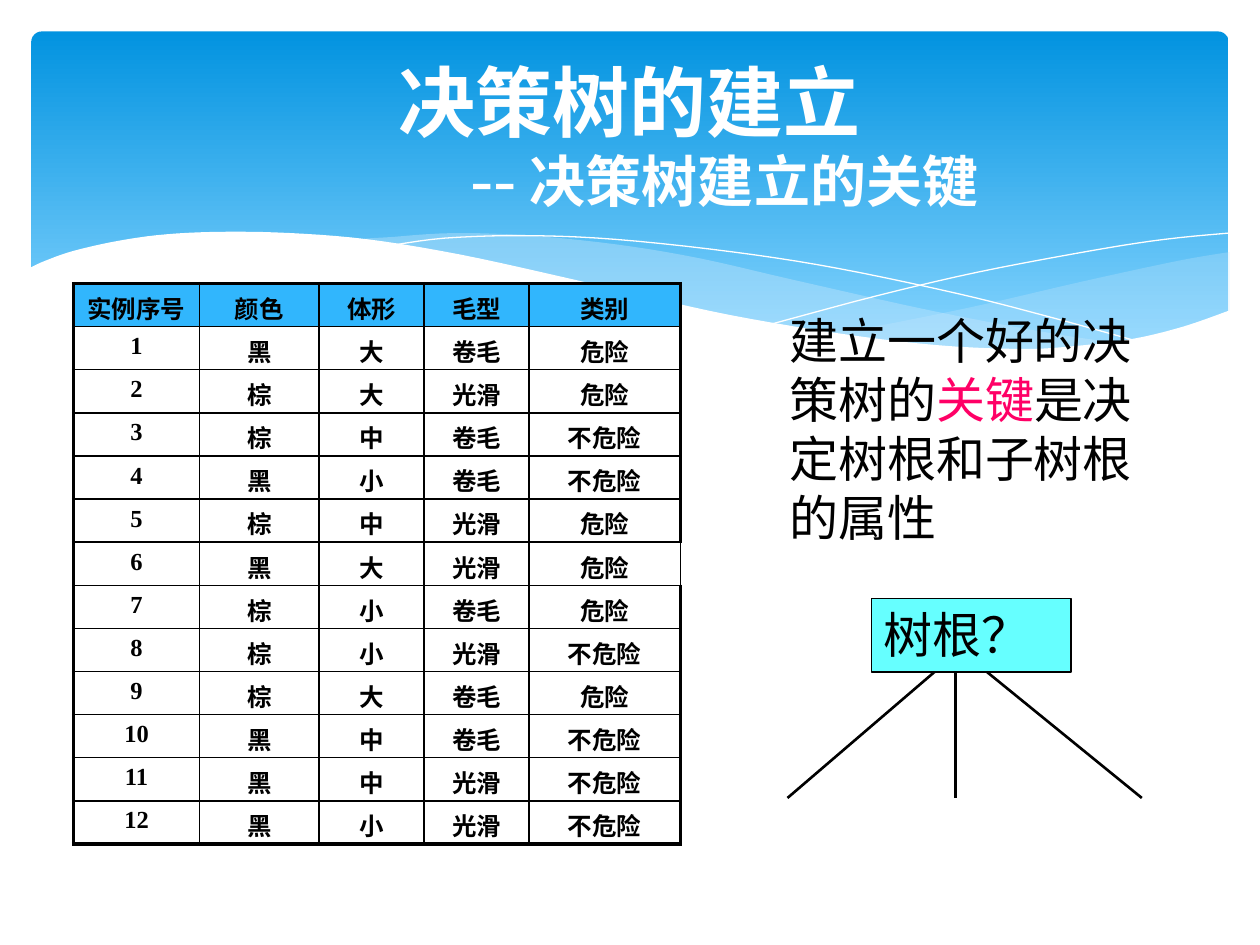
from dataclasses import dataclass

from lxml.etree import SubElement
from pptx import Presentation
from pptx.dml.color import RGBColor
from pptx.enum.shapes import MSO_CONNECTOR as Connector, MSO_SHAPE as Shape
from pptx.enum.text import MSO_ANCHOR as Anchor, MSO_AUTO_SIZE as AutoSize, PP_ALIGN as Align
from pptx.oxml.ns import qn
from pptx.util import Inches, Pt


@dataclass(frozen=True)
class Theme:
    white: str = "FFFFFF"
    ink: str = "000000"
    accent: str = "FF0066"
    sky_top: str = "0293E0"
    sky_bottom: str = "83D3FE"
    haze: str = "C6E7FC"
    header: str = "31B6FD"
    root: str = "66FFFF"
    title_font: str = "Cabin"
    body_font: str = "Times New Roman"
    title_size: int = 44
    subtitle_size: int = 32
    body_size: int = 28
    table_size: int = 14
    thin: float = 1
    thick: float = 2.25


THEME = Theme()
COLUMNS, ROWS = 120, 90
UNIT = Inches(10) / COLUMNS

RIGHT_HAZE = [(9.76, 2), (9.35, 2.07), (8.61, 2.23), (7.79, 2.42), (7.06, 2.57), (6.61, 2.65),
              (7.05, 2.71), (7.57, 2.76), (8.14, 2.78), (8.63, 2.75), (9.13, 2.67), (9.49, 2.57), (9.76, 2.47)]
MIDDLE_HAZE = [(8.93, 2.73), (8.37, 2.65), (7.41, 2.47), (6.29, 2.22), (5.55, 2.05), (4.89, 1.94),
               (4.2, 1.87), (3.61, 1.85), (3.13, 1.88), (2.86, 1.91), (3.42, 1.99), (4.04, 2.11),
               (4.91, 2.32), (5.84, 2.52), (6.5, 2.64), (7.22, 2.74), (7.96, 2.78), (8.48, 2.77), (8.93, 2.73)]
FALLING_LINE = [(3.09, 1.95), (3.53, 1.89), (4.16, 1.87), (4.89, 1.9), (5.82, 2),
                (6.65, 2.13), (7.6, 2.33), (8.31, 2.51), (9.07, 2.72)]
RISING_LINE = [(6.13, 2.57), (6.95, 2.35), (7.76, 2.16), (8.66, 1.99), (9.24, 1.9), (9.75, 1.85)]
FOREGROUND = [(9.77, 2.46), (9.4, 2.59), (8.99, 2.69), (8.5, 2.75), (8.09, 2.77), (7.44, 2.74),
              (6.68, 2.65), (5.79, 2.5), (5.03, 2.33), (4.47, 2.2), (3.65, 2.02), (2.92, 1.9),
              (2.3, 1.85), (1.77, 1.84), (1.32, 1.86), (0.95, 1.91), (0.59, 1.99), (0.36, 2.07), (0.23, 2.13)]

HEADINGS = ["实例序号", "颜色", "体形", "毛型", "类别"]
DOGS = ["黑 大 卷毛 危险", "棕 大 光滑 危险", "棕 中 卷毛 不危险", "黑 小 卷毛 不危险",
        "棕 中 光滑 危险", "黑 大 光滑 危险", "棕 小 卷毛 危险", "棕 小 光滑 不危险",
        "棕 大 卷毛 危险", "黑 中 卷毛 不危险", "黑 中 光滑 不危险", "黑 小 光滑 不危险"]
THIN_EDGE_ROW = 6


def grid(*steps):
    return [round(step * UNIT) for step in steps]


def rgb(value):
    return RGBColor.from_string(value)


def add_run(paragraph, text, size, font=THEME.body_font, color=THEME.ink, bold=False):
    run = paragraph.add_run()
    run.text = text
    run.font.size, run.font.name, run.font.bold = Pt(size), font, bold
    run.font.color.rgb = rgb(color)


def smooth_curve(knots, steps=5):
    padded = [knots[0], *knots, knots[-1]]
    curve = []
    for a, b, c, d in zip(padded, padded[1:], padded[2:], padded[3:]):
        for step in range(steps):
            t = step / steps
            curve.append(tuple(
                (2 * q + (r - p) * t + (2 * p - 5 * q + 4 * r - s) * t**2 + (3 * q - p - 3 * r + s) * t**3) / 2
                for p, q, r, s in zip(a, b, c, d)))
    return curve + [knots[-1]]


def add_wave(slide, knots, fill=None, opacity=100, corners=()):
    start, *rest = [(Inches(x), Inches(y)) for x, y in [*smooth_curve(knots), *corners]]
    builder = slide.shapes.build_freeform(*start)
    builder.add_line_segments(rest, close=fill is not None)
    wave = builder.convert_to_shape()
    wave.shadow.inherit = False
    if fill is None:
        wave.fill.background()
        wave.line.color.rgb = rgb(THEME.white)
        wave.line.width = Pt(0)
        return
    wave.fill.solid()
    wave.fill.fore_color.rgb = rgb(fill)
    wave.line.fill.background()
    if opacity < 100:
        color = wave.element.spPr.find(qn("a:solidFill"))[0]
        SubElement(color, qn("a:alpha"), val=str(opacity * 1000))


def add_banner(slide):
    sky = slide.shapes.add_shape(Shape.ROUNDED_RECTANGLE, *grid(3, 3, 114, 32.4))
    sky.adjustments[0] = 0.03
    sky.shadow.inherit = False
    sky.line.fill.background()
    sky.fill.gradient()
    sky.fill.gradient_angle = 270
    stops = [(0, THEME.sky_top), (0.9, THEME.sky_bottom)]
    for stop, (position, color) in zip(sky.fill.gradient_stops, stops):
        stop.position, stop.color.rgb = position, rgb(color)
    add_wave(slide, RIGHT_HAZE, THEME.haze, 29)
    add_wave(slide, MIDDLE_HAZE, THEME.haze, 40)
    add_wave(slide, FALLING_LINE)
    add_wave(slide, RISING_LINE)
    add_wave(slide, FOREGROUND, THEME.white, corners=[(0.23, 3.29), (9.77, 3.29)])


def set_title(slide):
    title = slide.shapes.title
    slide.shapes.element.append(title.element)
    title.left, title.top, title.width, title.height = grid(6, 4.5, 108, 16.5)
    frame = title.text_frame
    frame.auto_size, frame.vertical_anchor = AutoSize.NONE, Anchor.MIDDLE
    paragraph = frame.paragraphs[0]
    paragraph.alignment = Align.CENTER
    add_run(paragraph, "决策树的建立", THEME.title_size, THEME.title_font, THEME.white, True)
    paragraph.add_line_break()
    add_run(paragraph, "\t\t\t-- 决策树建立的关键", THEME.subtitle_size, THEME.title_font, THEME.white, True)


def set_borders(cell, **widths):
    properties = cell._tc.get_or_add_tcPr()
    for side in "LRTB":
        edge = SubElement(properties, qn(f"a:ln{side}"), w=str(Pt(widths.get(side, THEME.thin))))
        SubElement(SubElement(edge, qn("a:solidFill")), qn("a:srgbClr"), val=THEME.ink)


def add_examples(slide):
    records = [HEADINGS] + [[str(number), *dog.split()] for number, dog in enumerate(DOGS, 1)]
    last_row, last_column = len(records) - 1, len(HEADINGS) - 1
    table = slide.shapes.add_table(len(records), len(HEADINGS), *grid(7, 27, 57.8, 53.4)).table
    table.first_row = table.horz_banding = False
    for column, width in zip(table.columns, grid(12, 11.4, 10, 10, 14.4)):
        column.width = width
    for r, record in enumerate(records):
        table.rows[r].height = grid(53.4 / len(records))[0]
        for c, value in enumerate(record):
            cell = table.cell(r, c)
            outer = {"L": c == 0, "T": r == 0, "B": r == last_row,
                     "R": c == last_column and r != THIN_EDGE_ROW}
            set_borders(cell, **{side: THEME.thick for side, thick in outer.items() if thick})
            if r == 0:
                cell.fill.solid()
                cell.fill.fore_color.rgb = rgb(THEME.header)
            else:
                cell.fill.background()
            cell.margin_bottom = 0
            paragraph = cell.text_frame.paragraphs[0]
            paragraph.alignment = Align.CENTER
            add_run(paragraph, value, THEME.table_size, bold=True)


def add_key_point(slide):
    frame = slide.shapes.add_textbox(*grid(74, 29, 38, 23.6)).text_frame
    frame.word_wrap = True
    paragraph = frame.paragraphs[0]
    for text, color in [("建立一个好的决策树的", THEME.ink), ("关键", THEME.accent),
                        ("是决定树根和子树根的属性", THEME.ink)]:
        add_run(paragraph, text, THEME.body_size, color=color)


def add_root(slide):
    root = slide.shapes.add_shape(Shape.RECTANGLE, *grid(83, 57, 19, 7))
    root.shadow.inherit = False
    root.fill.solid()
    root.fill.fore_color.rgb = rgb(THEME.root)
    root.line.color.rgb = rgb(THEME.ink)
    root.line.width = Pt(0.75)
    root.text_frame.vertical_anchor = Anchor.TOP
    paragraph = root.text_frame.paragraphs[0]
    paragraph.alignment = Align.LEFT
    add_run(paragraph, "树根？", THEME.body_size)


def add_branch(slide, top_column, bottom_column):
    branch = slide.shapes.add_connector(Connector.STRAIGHT, *grid(top_column, 64, bottom_column, 76))
    branch.line.color.rgb = rgb(THEME.ink)
    branch.line.width = Pt(1.5)
    SubElement(branch.element.spPr, qn("a:effectLst"))


def main():
    deck = Presentation()
    deck.slide_width, deck.slide_height = grid(COLUMNS, ROWS)
    slide = deck.slides.add_slide(deck.slide_layouts[5])
    add_banner(slide)
    set_title(slide)
    add_root(slide)
    for top_column, bottom_column in [(89, 75), (91, 91), (94, 108.75)]:
        add_branch(slide, top_column, bottom_column)
    add_key_point(slide)
    add_examples(slide)
    deck.save("out.pptx")


if __name__ == "__main__":
    main()
